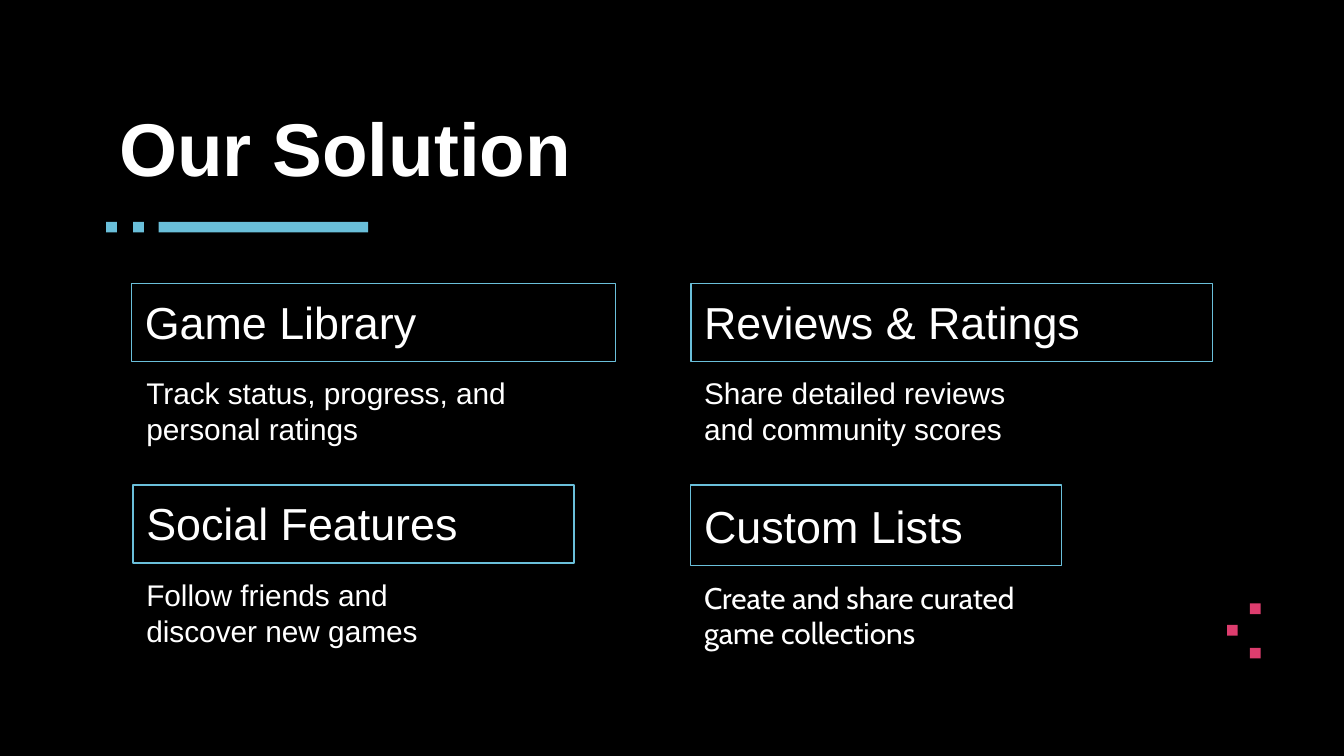
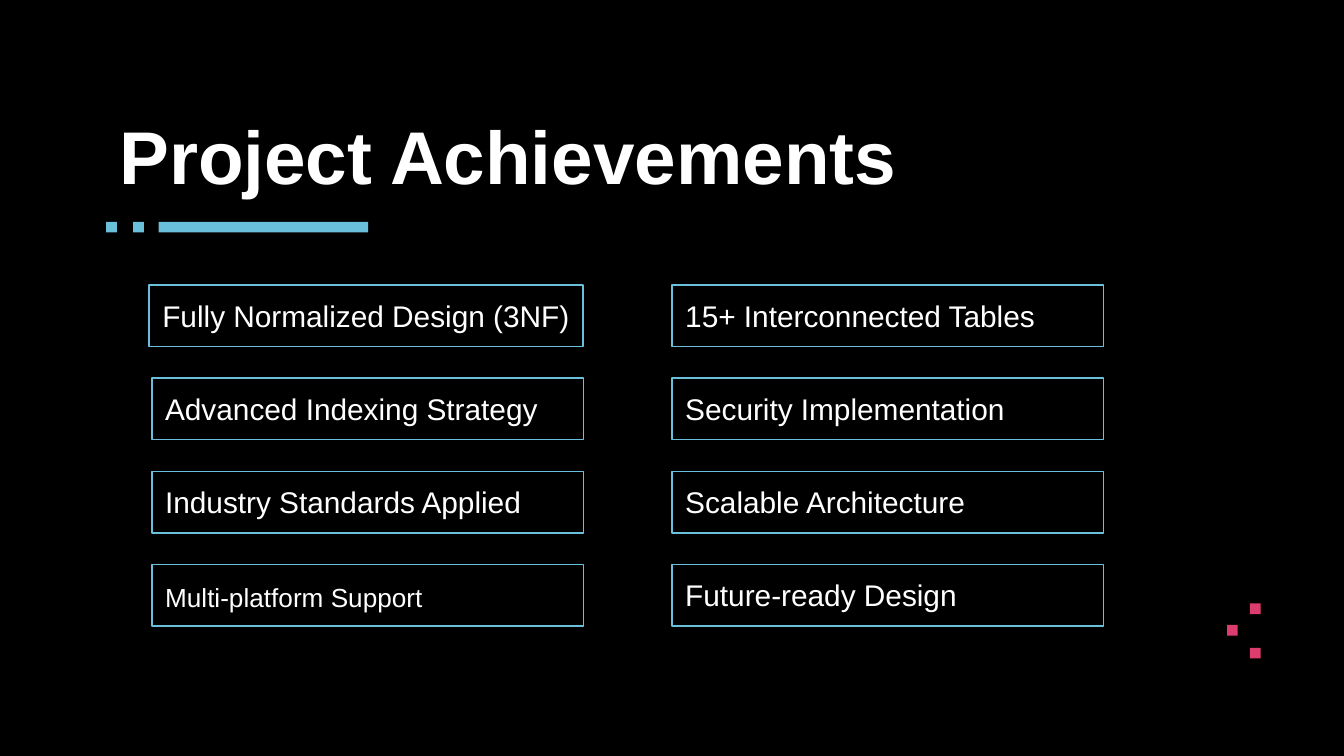
"""Builds two dark slides: a four-part solution overview and a grid of project achievements."""
import pptx
import pptx.util
import pptx.dml.color
import pptx.enum.shapes
import pptx.enum.text

Inches = pptx.util.Inches
RGBColor = pptx.dml.color.RGBColor
ANCHOR = pptx.enum.text.MSO_ANCHOR
RECT = pptx.enum.shapes.MSO_SHAPE.RECTANGLE

BLACK = RGBColor(0x00, 0x00, 0x00)
WHITE = RGBColor(0xFF, 0xFF, 0xFF)
BLUE = RGBColor(0x6A, 0xBF, 0xDA)
PINK = RGBColor(0xDD, 0x3D, 0x6E)
DOT = 0.08


def add_block(shapes, x, y, w, h, color):
    sp = shapes.add_shape(RECT, Inches(x), Inches(y), Inches(w), Inches(h))
    sp.shadow.inherit = False
    sp.fill.solid()
    sp.fill.fore_color.rgb = color
    sp.line.fill.background()


def add_text(s, x, y, w, h, text, size, font="Arial", bold=False, boxed=False):
    at = Inches(x), Inches(y), Inches(w), Inches(h)
    if boxed:
        sp = s.shapes.add_shape(RECT, *at)
        sp.shadow.inherit = False
        sp.fill.background()
        sp.line.color.rgb = BLUE
        sp.line.width = pptx.util.Pt(0.75)
    else:
        sp = s.shapes.add_textbox(*at)
    tf = sp.text_frame
    tf.word_wrap = True
    tf.vertical_anchor = ANCHOR.BOTTOM if boxed else ANCHOR.TOP
    tf.margin_left = tf.margin_right = tf.margin_top = tf.margin_bottom = Inches(0.1)
    p = tf.paragraphs[0]
    p.alignment = pptx.enum.text.PP_ALIGN.LEFT
    r = p.add_run()
    r.text = text
    r.font.size = pptx.util.Pt(size)
    r.font.name = font
    r.font.bold = bold
    r.font.color.rgb = WHITE


prs = pptx.Presentation()
prs.slide_width = Inches(10)
prs.slide_height = prs.slide_width * 9 // 16

slides = []
for title, top in (("Our Solution", 0.66), ("Project Achievements", 0.72)):
    s = prs.slides.add_slide(prs.slide_layouts[6])
    s.background.fill.solid()
    s.background.fill.fore_color.rgb = BLACK
    for x, y in ((9.3, 4.49), (9.13, 4.65), (9.3, 4.82)):
        add_block(s.shapes, x, y, DOT, DOT, PINK)
    add_text(s, 0.79, top, 8.43, 0.77, title, 40, bold=True)
    underline = s.shapes.add_group_shape()
    for x, w in ((0.79, DOT), (0.99, DOT), (1.18, 1.56)):
        add_block(underline.shapes, x, 1.65, w, DOT, BLUE)
    slides.append(s)
solution, achievements = slides

features = (
    (0.98, 2.11, 3.6, 0.58, "Game Library",
     0.99, 3.28, "Track status, progress, and personal ratings", "Arial"),
    (5.14, 2.11, 3.88, 0.58, "Reviews & Ratings",
     5.14, 2.76, "Share detailed reviews and community scores", "Arial"),
    (0.99, 3.61, 3.28, 0.58, "Social Features",
     0.99, 2.76, "Follow friends and discover new games", "Arial"),
    (5.14, 3.61, 2.76, 0.6, "Custom Lists",
     5.14, 3.07, "Create and share curated game collections", "Cabin"),
)
for x, y, w, h, heading, body_x, body_w, body, font in features:
    add_text(solution, x, y, w, h, heading, 24, boxed=True)
    add_text(solution, body_x, y + h, body_w, 0.77, body, 16, font)

columns = (
    (1.13, ("Fully Normalized Design (3NF)", "Advanced Indexing Strategy",
            "Industry Standards Applied", "Multi-platform Support")),
    (5, ("15+ Interconnected Tables", "Security Implementation",
         "Scalable Architecture", "Future-ready Design")),
)
first_top, last_top = 2.12, 4.2
for left, labels in columns:
    pitch = (last_top - first_top) / (len(labels) - 1)
    for row, label in enumerate(labels):
        extra = 0.02 if label.startswith("Fully") else 0
        size = 14 if label.startswith("Multi") else 16
        add_text(achievements, left - extra, first_top + row * pitch, 3.21 + extra, 0.46,
                 label, size, boxed=True)

prs.save("out.pptx")
